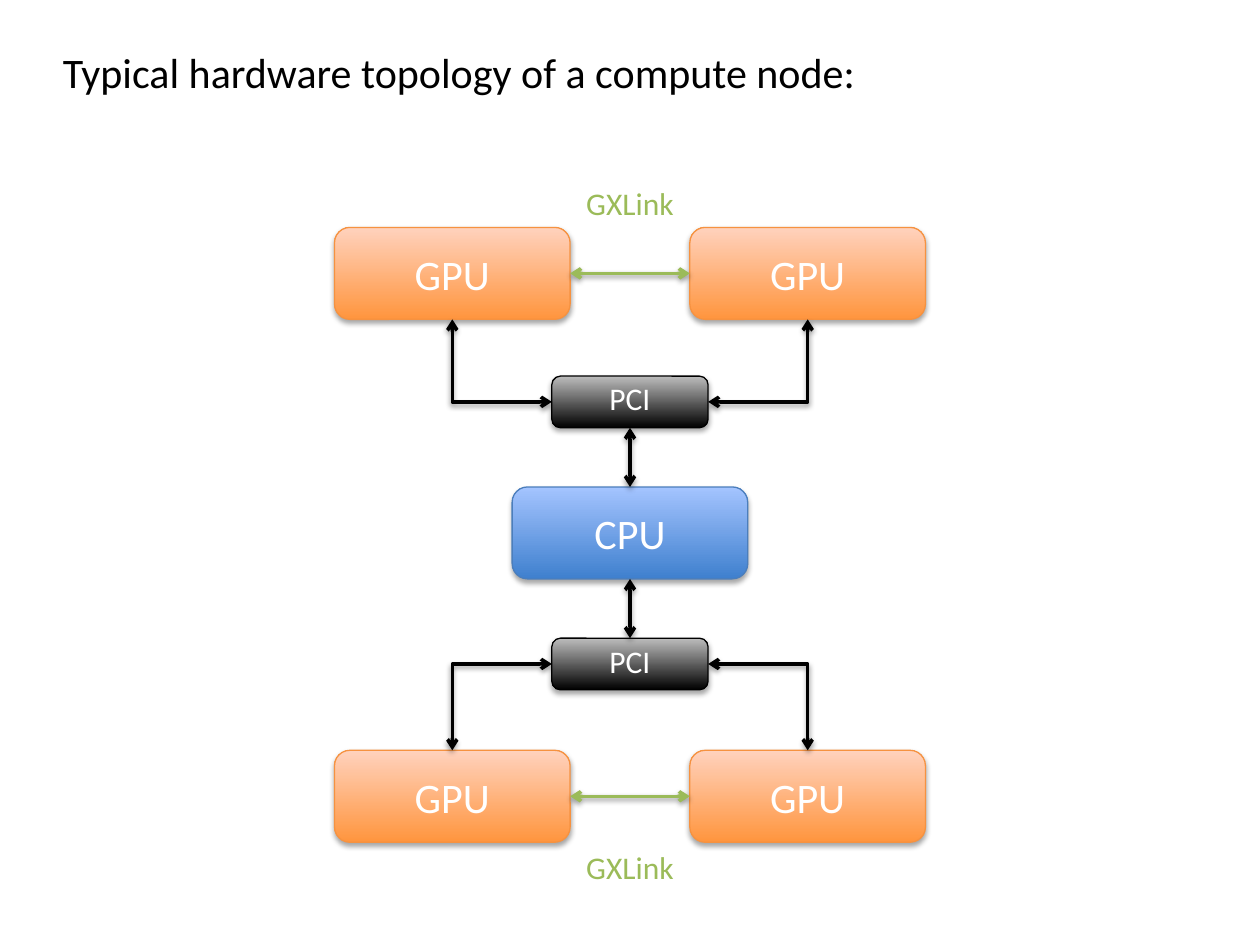
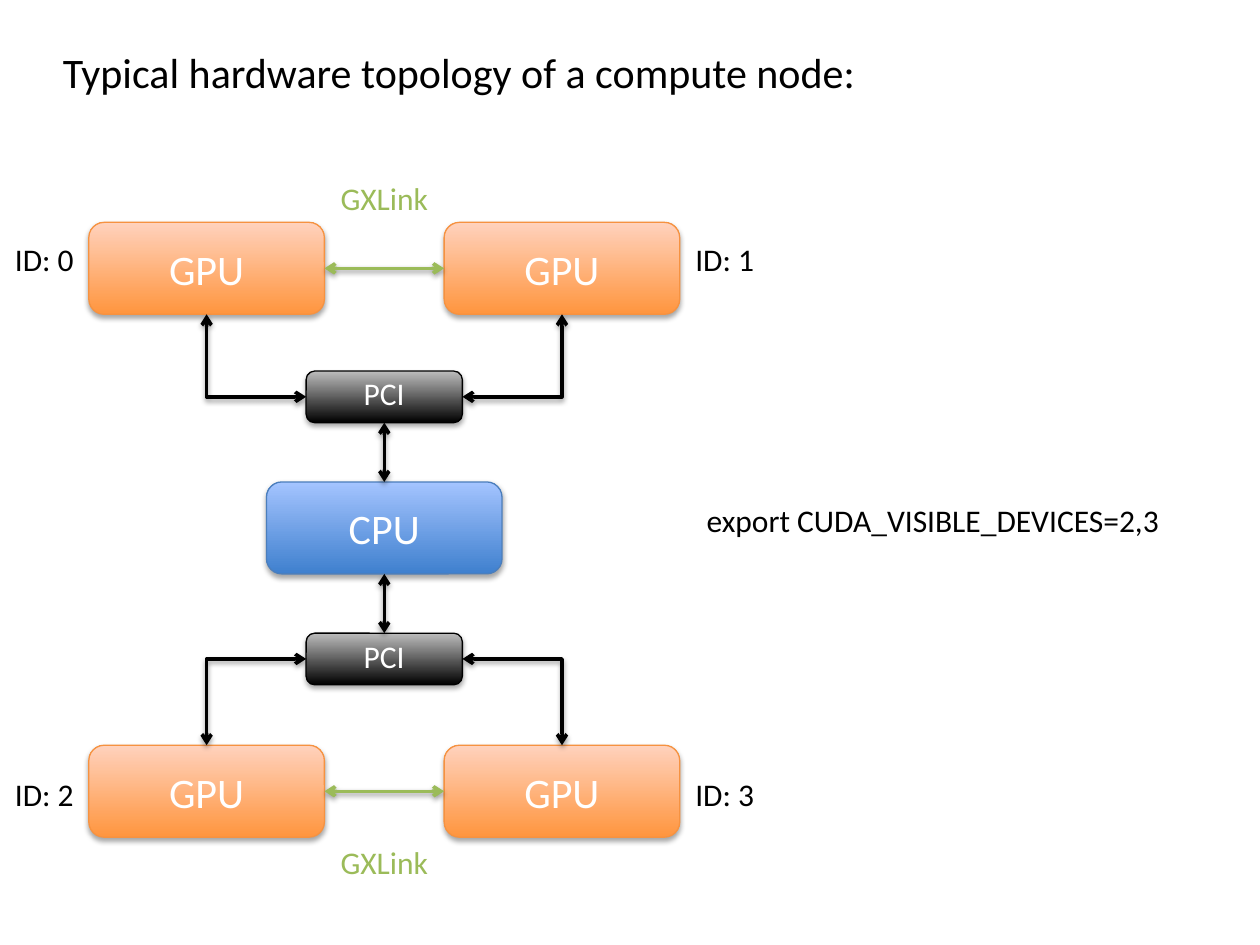
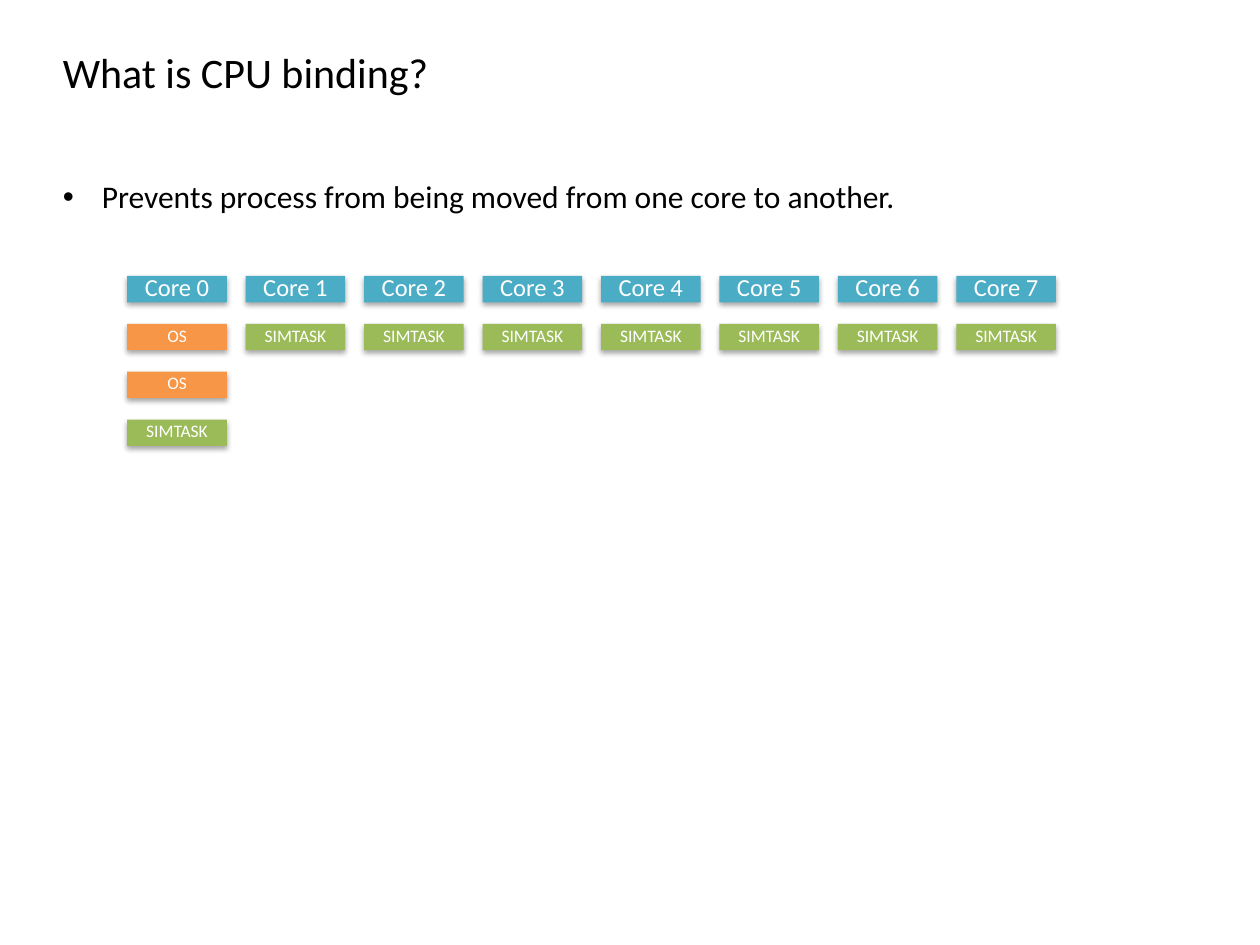
import pptx
import pptx.util
import pptx.dml.color
import pptx.enum.shapes
import pptx.enum.text
import pptx.oxml.ns
import lxml.etree

RGBColor = pptx.dml.color.RGBColor
Inches = pptx.util.Inches
Pt = pptx.util.Pt
qn = pptx.oxml.ns.qn
Shape = pptx.enum.shapes.MSO_SHAPE
Connector = pptx.enum.shapes.MSO_CONNECTOR
Anchor = pptx.enum.text.MSO_ANCHOR
Align = pptx.enum.text.PP_ALIGN

BLACK = RGBColor(0x00, 0x00, 0x00)
WHITE = RGBColor(0xFF, 0xFF, 0xFF)
GREEN = RGBColor(0x9B, 0xBB, 0x59)
TEAL = RGBColor(0x4B, 0xAC, 0xC6)
ORANGE = RGBColor(0xF7, 0x96, 0x46)
GPU_DARK = RGBColor(0xFF, 0x95, 0x3E)
GPU_LIGHT = RGBColor(0xFF, 0xD2, 0xBD)
GPU_EDGE = RGBColor(0xF6, 0x92, 0x40)
CPU_DARK = RGBColor(0x3F, 0x80, 0xCE)
CPU_LIGHT = RGBColor(0xA4, 0xC4, 0xFF)
CPU_EDGE = RGBColor(0x4B, 0x7E, 0xBC)
PCI_LIGHT = RGBColor(0xBD, 0xBD, 0xBD)

FONT = "Calibri"
LINE_HEIGHT = 0.4

CHIP_WIDTH, CHIP_HEIGHT = 1.87, 0.73
PCI_WIDTH, PCI_HEIGHT = 1.24, 0.41
GPU_SHIFT = 1.41
PCI_RISE = 1.04
LABEL_RISE = 0.56

CHIP_STYLES = {
    "GPU": (CHIP_WIDTH, CHIP_HEIGHT, GPU_DARK, GPU_LIGHT, GPU_EDGE, 24, 1),
    "CPU": (CHIP_WIDTH, CHIP_HEIGHT, CPU_DARK, CPU_LIGHT, CPU_EDGE, 24, 1),
    "PCI": (PCI_WIDTH, PCI_HEIGHT, BLACK, PCI_LIGHT, BLACK, 18, 0.8),
}


def write(box, text, size, color, align=Align.LEFT, spacing=1, wrap=True):
    frame = box.text_frame
    frame.word_wrap = wrap
    para = frame.paragraphs[0]
    para.alignment = align
    para.line_spacing = spacing
    span = para.add_run()
    span.text = text
    span.font.name = FONT
    span.font.size = Pt(size)
    span.font.color.rgb = color
    return para


def add_shadow(item, distance, opacity):
    properties = item._element.spPr
    effects = lxml.etree.SubElement(properties, qn("a:effectLst"))
    shadow = lxml.etree.SubElement(
        effects, qn("a:outerShdw"), blurRad=str(Pt(3.1)), dist=str(Pt(distance)),
        dir="5400000", rotWithShape="0")
    color = lxml.etree.SubElement(shadow, qn("a:srgbClr"), val="000000")
    lxml.etree.SubElement(color, qn("a:alpha"), val=str(opacity * 1000))


deck = pptx.Presentation()
deck.slide_width = Inches(10)
deck.slide_height = Inches(7.5)

pages = []
for title in ("Typical hardware topology of a compute node:",
              "Typical hardware topology of a compute node:",
              "What is CPU binding?"):
    page = deck.slides.add_slide(deck.slide_layouts[6])
    box = page.shapes.add_textbox(Inches(0.4), Inches(0.32), Inches(9.28), Inches(0.56))
    box.text_frame.vertical_anchor = Anchor.TOP
    write(box, title, 24, BLACK)
    pages.append(page)
plain_page, numbered_page, binding_page = pages

for page, middle_x, middle_y in ((plain_page, 5, 4.23), (numbered_page, 3.05, 4.19)):
    group = page.shapes.add_group_shape()
    chips = [("CPU", middle_x, middle_y)]
    links = []
    labels = []
    for side, gpu_rise in ((-1, 2.06), (1, 2.09)):
        gpu_y = middle_y + side * gpu_rise
        pci_y = middle_y + side * PCI_RISE
        chips.append(("PCI", middle_x, pci_y))
        links.append((Connector.STRAIGHT, BLACK,
                      middle_x, middle_y + side * CHIP_HEIGHT / 2,
                      middle_x, pci_y - side * PCI_HEIGHT / 2))
        for hand in (-1, 1):
            gpu_x = middle_x + hand * GPU_SHIFT
            chips.append(("GPU", gpu_x, gpu_y))
            links.append((Connector.ELBOW, BLACK,
                          middle_x + hand * PCI_WIDTH / 2, pci_y,
                          gpu_x, gpu_y - side * CHIP_HEIGHT / 2))
        gap = GPU_SHIFT - CHIP_WIDTH / 2
        links.append((Connector.STRAIGHT, GREEN, middle_x - gap, gpu_y, middle_x + gap, gpu_y))
        labels.append(gpu_y + side * LABEL_RISE)

    for name, center_x, center_y in chips:
        width, height, dark, light, edge, size, spacing = CHIP_STYLES[name]
        chip = group.shapes.add_shape(
            Shape.ROUNDED_RECTANGLE, Inches(center_x - width / 2),
            Inches(center_y - height / 2), Inches(width), Inches(height))
        chip.fill.gradient()
        chip.fill.gradient_angle = 90
        for stop, position, color in zip(chip.fill.gradient_stops, (0, 1), (dark, light)):
            stop.position = position
            stop.color.rgb = color
        chip.line.color.rgb = edge
        chip.line.width = Pt(0.75)
        add_shadow(chip, 1.8, 35)
        write(chip, name, size, WHITE, Align.CENTER, spacing)

    for kind, color, *ends in links:
        link = group.shapes.add_connector(kind, *map(Inches, ends))
        if kind == Connector.ELBOW:
            link._element.spPr.find(qn("a:prstGeom")).set("prst", "bentConnector2")
        link.line.color.rgb = color
        link.line.width = Pt(2)
        for tip in ("a:headEnd", "a:tailEnd"):
            lxml.etree.SubElement(link.line._get_or_add_ln(), qn(tip), type="arrow")
        add_shadow(link, 1.6, 38)

    for center_y in labels:
        label = group.shapes.add_textbox(
            Inches(middle_x - 0.46), Inches(center_y - LINE_HEIGHT / 2),
            Inches(0.92), Inches(LINE_HEIGHT))
        write(label, "GXLink", 18, GREEN, Align.CENTER, wrap=False)

notes = [("export CUDA_VISIBLE_DEVICES=2,3", 5.51, 3.93, 4.18)]
for number in range(4):
    row, column = divmod(number, 2)
    notes.append((f"ID: {number}", (0.02, 5.42)[column], (1.86, 6.1)[row], 0.67))
for text, left, top, width in notes:
    note = numbered_page.shapes.add_textbox(
        Inches(left), Inches(top), Inches(width), Inches(LINE_HEIGHT))
    write(note, text, 18, BLACK, wrap=False)

point = binding_page.shapes.add_textbox(
    Inches(0.4), Inches(1.36), Inches(8.85), Inches(LINE_HEIGHT))
para = write(point, "Prevents process from being moved from one core to another.", 18, BLACK)
indents = para._p.get_or_add_pPr()
indents.set("marL", str(Inches(0.31)))
indents.set("indent", str(-Inches(0.31)))
lxml.etree.SubElement(indents, qn("a:buFont"), typeface="Arial")
lxml.etree.SubElement(indents, qn("a:buChar"), char="•")

CORE_COUNT = 8
TASK_FILLS = {"OS": ORANGE, "SIMTASK": GREEN}
core_rows = [
    [f"Core {number}" for number in range(CORE_COUNT)],
    ["OS"] + ["SIMTASK"] * (CORE_COUNT - 1),
    ["OS"],
    ["SIMTASK"],
]
for row, names in enumerate(core_rows):
    for column, name in enumerate(names):
        cell = binding_page.shapes.add_shape(
            Shape.RECTANGLE, Inches(1.01 + 0.94 * column), Inches(2.19 + 0.38 * row),
            Inches(0.79), Inches(0.21))
        cell.fill.solid()
        cell.fill.fore_color.rgb = TASK_FILLS.get(name, TEAL)
        cell.line.fill.background()
        add_shadow(cell, 1.8, 35)
        write(cell, name, 14 if row == 0 else 10, WHITE, Align.CENTER, 0.8, wrap=False)

deck.save("out.pptx")
